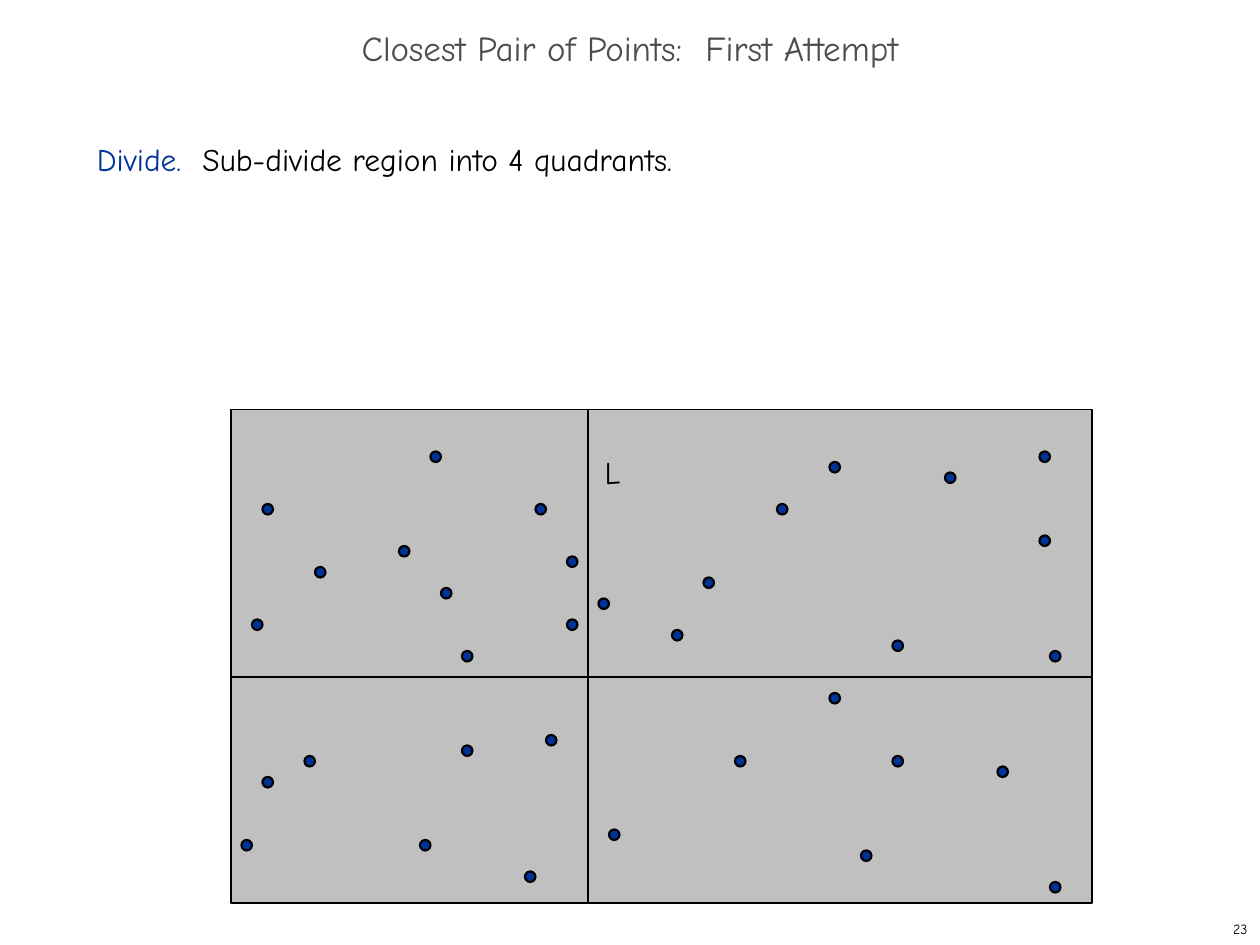
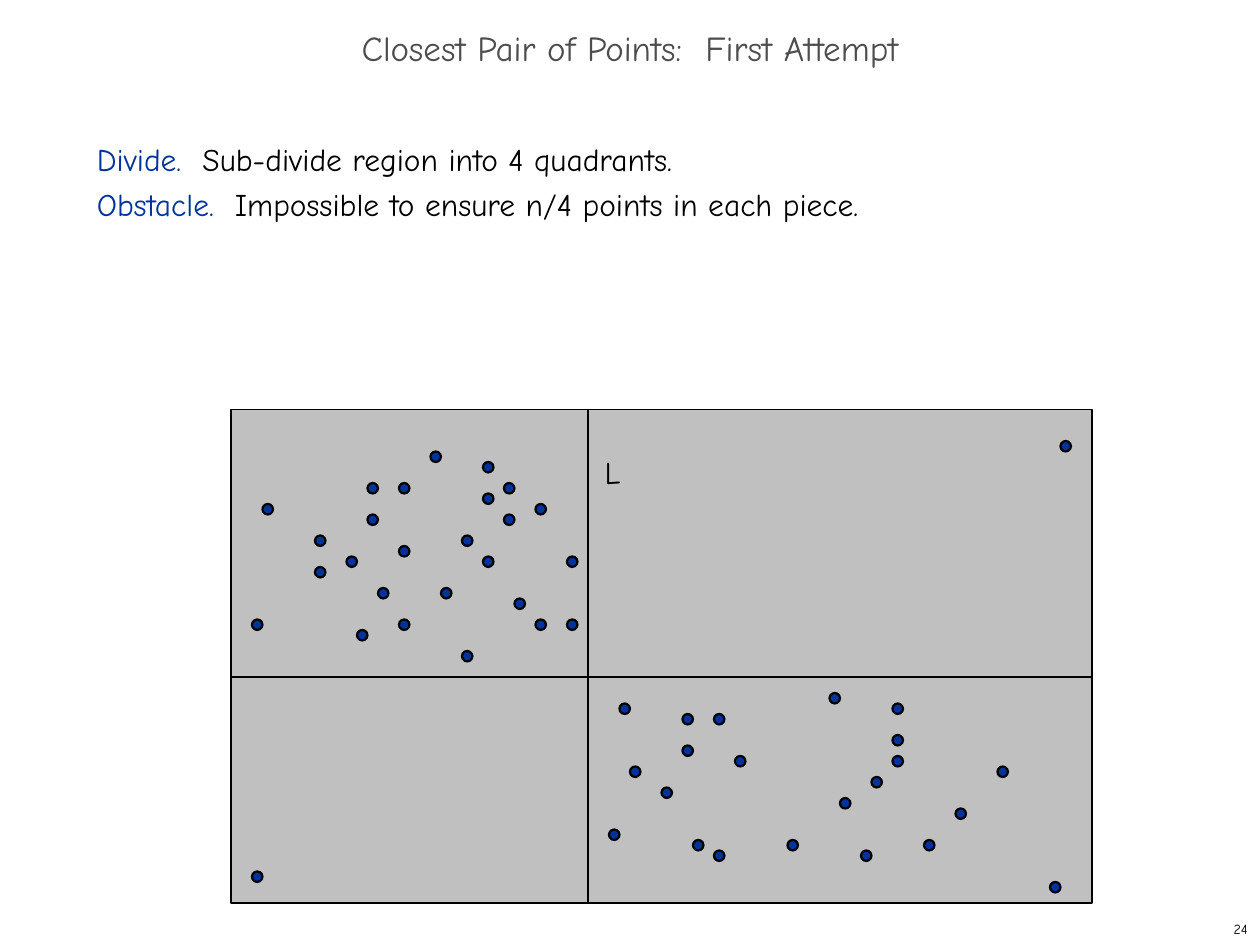
from pptx import Presentation
from pptx.dml.color import RGBColor
from pptx.enum.shapes import MSO_CONNECTOR, MSO_SHAPE
from pptx.enum.text import MSO_ANCHOR, PP_ALIGN
from pptx.oxml.ns import qn
from pptx.util import Inches, Pt
from lxml import etree

# Shared style
FONT = "Comic Neue"
BLACK = RGBColor(0x00, 0x00, 0x00)
BLUE = RGBColor(0x00, 0x33, 0x99)
DARK = RGBColor(0x4D, 0x4D, 0x4D)
GRAY = RGBColor(0xC0, 0xC0, 0xC0)
RECT, OVAL = MSO_SHAPE.RECTANGLE, MSO_SHAPE.OVAL
LINE = MSO_CONNECTOR.STRAIGHT
TOP, MID = MSO_ANCHOR.TOP, MSO_ANCHOR.MIDDLE
LEFT, CENTER, RIGHT = PP_ALIGN.LEFT, PP_ALIGN.CENTER, PP_ALIGN.RIGHT

# The region is a grid of cells, each as wide as one dot
CELL = 1 / 12
COLS, ROWS = 82, 47
SPLIT_COL, SPLIT_ROW = 34, 25.5
REGION = (22 * CELL, 39 * CELL, COLS * CELL, ROWS * CELL)

TITLE = "Closest Pair of Points:  First Attempt"
DIVIDE = ("Divide.  ", "Sub-divide region into 4 quadrants.")
OBSTACLE = ("Obstacle.  ", "Impossible to ensure n/4 points in each piece.")

# Dots as (column, row) in the region
SHARED = [
    (8, 15), (32, 14), (36, 40), (3, 9), (16, 13), (19, 4), (20, 17),
    (29, 9), (78, 45), (2, 20), (22, 23), (32, 20), (48, 33), (57, 27),
    (60, 42), (63, 33), (73, 34),
]
EVEN = [
    (22, 32), (52, 9), (45, 16), (42, 21), (57, 5), (63, 22), (35, 18),
    (30, 31), (3, 35), (7, 33), (28, 44), (1, 41), (18, 41), (77, 12),
    (68, 6), (77, 4), (78, 23),
]
UNEVEN = [
    (22, 12), (53, 41), (16, 7), (27, 18), (58, 37), (46, 29), (37, 28),
    (24, 5), (8, 12), (12, 21), (44, 41), (2, 44), (38, 34), (24, 8),
    (69, 38), (79, 3), (14, 17), (11, 14), (16, 20), (13, 7), (13, 10),
    (61, 35), (66, 41), (63, 28), (63, 31), (24, 14), (29, 20), (26, 7),
    (26, 10), (41, 36), (46, 42), (43, 29), (43, 32),
]


def style(para, size, color, align):
    para.font.name = FONT
    para.font.size = Pt(size)
    para.font.color.rgb = color
    para.alignment = align


def add_box(slide, box, anchor):
    frame = slide.shapes.add_textbox(*map(Inches, box)).text_frame
    frame.word_wrap = True
    frame.vertical_anchor = anchor
    return frame


def add_label(slide, box, text, size, align, anchor):
    para = add_box(slide, box, anchor).paragraphs[0]
    para.text = text
    style(para, size, BLACK, align)


def add_form(slide, kind, box, fill, width):
    form = slide.shapes.add_shape(kind, *map(Inches, box))
    form.shadow.inherit = False
    form.fill.solid()
    form.fill.fore_color.rgb = fill
    form.line.color.rgb = BLACK
    form.line.width = Pt(width)


def add_line(slide, *ends):
    line = slide.shapes.add_connector(LINE, *map(Inches, ends))
    line.line.color.rgb = BLACK
    line.line.width = Pt(1)
    etree.SubElement(line._element.spPr, qn("a:effectLst"))


def add_title(slide, box):
    title = slide.shapes.title
    title.left, title.top, title.width, title.height = map(Inches, box)
    frame = title.text_frame
    frame.text = TITLE
    frame.vertical_anchor = MID
    para = frame.paragraphs[0]
    style(para, 20, DARK, CENTER)
    para.line_spacing = 0.7


def add_body(slide, box, rows):
    frame = add_box(slide, box, TOP)
    for i, (term, text) in enumerate(rows):
        para = frame.add_paragraph() if i else frame.paragraphs[0]
        style(para, 18, BLACK, LEFT)
        para.line_spacing = Pt(26)
        head = para.add_run()
        head.text = term
        head.font.color.rgb = BLUE
        para.add_run().text = text


def add_region(slide, box, dots):
    left, top, width, height = box
    add_form(slide, RECT, box, GRAY, 1)
    for col, row in dots:
        spot = (left + col * CELL, top + row * CELL, CELL, CELL)
        add_form(slide, OVAL, spot, BLUE, 1.25)
    # Lines between the quadrants
    x, y = left + SPLIT_COL * CELL, top + SPLIT_ROW * CELL
    add_line(slide, x, top, x, top + height)
    add_line(slide, left, y, left + width, y)
    add_label(slide, (x - 0.08, top + 0.3, 0.55, 0.4), "L", 18, CENTER, TOP)


def add_page(deck, number, rows, dots):
    slide = deck.slides.add_slide(deck.slide_layouts[5])
    add_title(slide, (0, 0.17, 10, 0.5))
    add_body(slide, (0.67, 1, 8.58, 1.2), rows)
    add_region(slide, REGION, dots)
    add_label(slide, (7.92, 7.25, 2.08, 0.25), str(number), 8, RIGHT, MID)


def main():
    deck = Presentation()
    deck.slide_width, deck.slide_height = Inches(10), Inches(7.5)
    add_page(deck, 23, [DIVIDE], SHARED + EVEN)
    add_page(deck, 24, [DIVIDE, OBSTACLE], SHARED + UNEVEN)
    deck.save("out.pptx")


if __name__ == "__main__":
    main()
